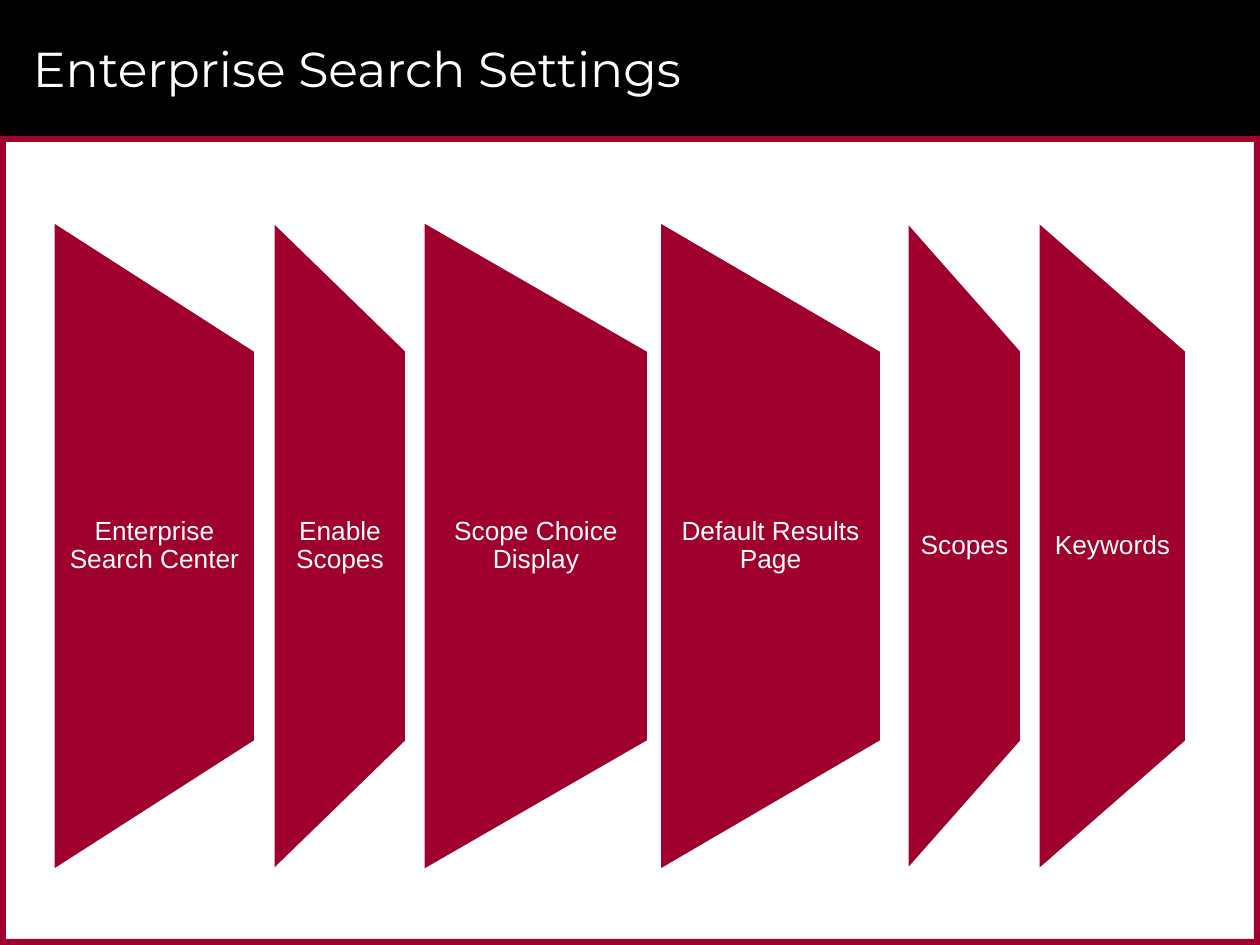
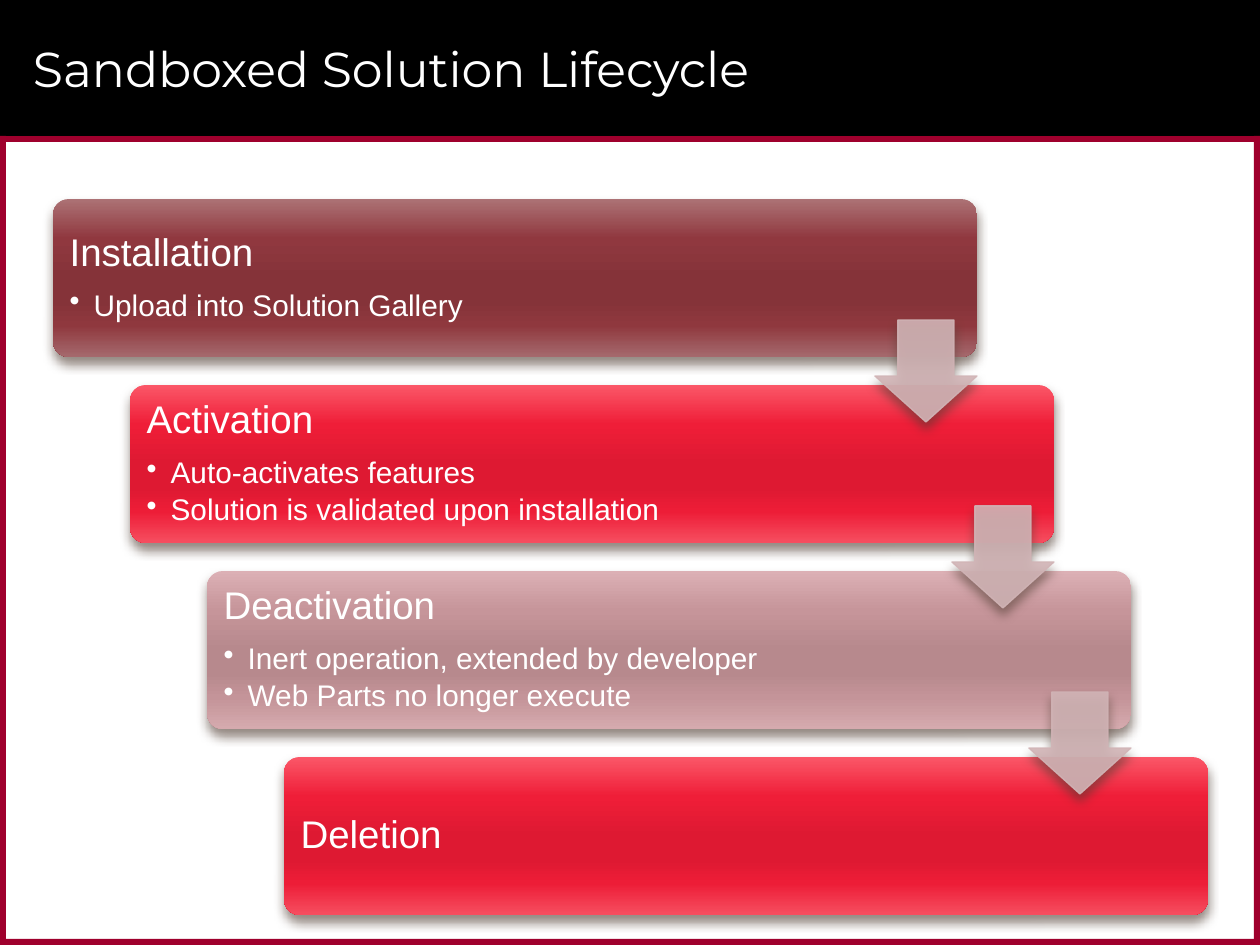
"""Build two framed slides: search settings panels and a solution lifecycle staircase."""
from lxml import etree
from pptx import Presentation
from pptx.dml.color import RGBColor
from pptx.enum.shapes import MSO_SHAPE
from pptx.enum.text import MSO_ANCHOR, PP_ALIGN
from pptx.oxml.ns import qn
from pptx.util import Pt

RECTANGLE = MSO_SHAPE.RECTANGLE
PANEL = MSO_SHAPE.FLOWCHART_MANUAL_OPERATION
CARD = MSO_SHAPE.ROUNDED_RECTANGLE
ARROW = MSO_SHAPE.DOWN_ARROW
MIDDLE = MSO_ANCHOR.MIDDLE
LEFT, CENTER = PP_ALIGN.LEFT, PP_ALIGN.CENTER

BLACK = RGBColor(0x00, 0x00, 0x00)
WHITE = RGBColor(0xFF, 0xFF, 0xFF)
CRIMSON = RGBColor(0x9F, 0x00, 0x2D)
ROSE = RGBColor(0xD1, 0xB4, 0xB6)
SHADOW = RGBColor(0x4E, 0x3B, 0x30)
BROWN_SHADES = ("AC7275", "90383F", "853339", "853339", "8F383E", "A5696D")
RED_SHADES = ("FB5768", "EF1E38", "DE1932", "DE1932", "ED1D37", "F64E60")
PINK_SHADES = ("DCB0B5", "C6959A", "B7898D", "B7898D", "C49499", "D5AAAE")
STOPS = (0, 25, 50, 65, 80, 100)

EMU_PER_PX = 914400 / 126
WIDTH, HEIGHT = 1260, 945
HEADER, BORDER = 136, 6
FRAME = [
    (0, 0, WIDTH, HEADER, BLACK),
    (0, HEADER, WIDTH, BORDER, CRIMSON),
    (0, HEIGHT - BORDER, WIDTH, BORDER, CRIMSON),
    (WIDTH - BORDER, HEADER, BORDER, HEIGHT - HEADER, CRIMSON),
    (0, HEADER, BORDER, HEIGHT - HEADER, CRIMSON),
]
TITLE_BOX = (21, 10, 1187, 116)
TITLE_FONT = {"name": "Montserrat", "size": Pt(28)}
LABEL_FONT = {"name": "Arial", "size": Pt(15)}
HEADING_FONT = {"name": "Arial", "size": Pt(22)}
BULLET_FONT = {"name": "Arial", "size": Pt(17)}

SETTINGS_TITLE = "Enterprise Search Settings"
SETTINGS = [
    ("Enterprise Search Center", 53, 203),
    ("Enable Scopes", 273, 134),
    ("Scope Choice Display", 423, 226),
    ("Default Results Page", 659, 223),
    ("Scopes", 907, 115),
    ("Keywords", 1038, 149),
]
PANEL_MIDDLE, PANEL_HEIGHT, LABEL_HEIGHT = 546, 651, 391

LIFECYCLE_TITLE = "Sandboxed Solution Lifecycle"
STAGES = [
    ("Installation", ["Upload into Solution Gallery"], BROWN_SHADES),
    ("Activation", ["Auto-activates features",
                    "Solution is validated upon installation"], RED_SHADES),
    ("Deactivation", ["Inert operation, extended by developer",
                      "Web Parts no longer execute"], PINK_SHADES),
    ("Deletion", [], RED_SHADES),
]
CARD_LEFT, CARD_TOP, CARD_WIDTH, CARD_HEIGHT = 53, 199, 924, 158
STEP_X, STEP_Y = 77, 186
ARROW_SIZE, ARROW_DROP = 102, 121
INSET, INDENT = 12, 24


def px(length):
    return round(length * EMU_PER_PX)


def assign(target, values):
    for name, value in values.items():
        setattr(target, name, value)


def add_element(parent, tag, **attributes):
    element = etree.SubElement(parent, qn(tag))
    for name, value in attributes.items():
        element.set(name, str(value))
    return element


def add_block(page, kind, box, color=None):
    block = page.shapes.add_shape(kind, *map(px, box))
    block.shadow.inherit = False
    block.line.fill.background()
    if color is not None:
        block.fill.solid()
        block.fill.fore_color.rgb = color
    return block


def set_outline(block, color, width):
    block.line.color.rgb = color
    block.line.width = Pt(width)


def set_shadow(block):
    effects = block.element.spPr.find(qn("a:effectLst"))
    shadow = add_element(effects, "a:outerShdw", blurRad=Pt(6), dist=Pt(4),
                         dir=5400000, rotWithShape=0)
    color = add_element(shadow, "a:srgbClr", val=SHADOW)
    add_element(color, "a:alpha", val=60000)


def set_shades(block, shades):
    block.fill.gradient()
    block.fill.gradient_angle = 270
    stops = block.element.spPr.find(".//" + qn("a:gsLst"))
    for stop in list(stops):
        stops.remove(stop)
    for position, shade in zip(STOPS, shades):
        stop = add_element(stops, "a:gs", pos=position * 1000)
        add_element(stop, "a:srgbClr", val=shade)


def prepare_frame(frame, side, edge):
    assign(frame, {"word_wrap": True, "vertical_anchor": MIDDLE,
                   "margin_left": px(side), "margin_right": px(side),
                   "margin_top": px(edge), "margin_bottom": px(edge)})


def write(para, text, font, **layout):
    assign(para, layout)
    span = para.add_run()
    span.text = text
    assign(span.font, font)
    span.font.color.rgb = WHITE


def add_page(deck, title_text):
    page = deck.slides.add_slide(deck.slide_layouts[5])
    for *box, color in FRAME:
        add_block(page, RECTANGLE, box, color)
    title = page.shapes.title
    title.element.getparent().append(title.element)
    assign(title, dict(zip(("left", "top", "width", "height"), map(px, TITLE_BOX))))
    prepare_frame(title.text_frame, INSET, BORDER)
    write(title.text_frame.paragraphs[0], title_text, TITLE_FONT, alignment=LEFT)
    return page


def add_panel(page, text, left, width):
    center = left + width / 2
    panel = add_block(page, PANEL, (center - PANEL_HEIGHT / 2, PANEL_MIDDLE - width / 2,
                                    PANEL_HEIGHT, width), CRIMSON)
    panel.rotation = 270
    set_outline(panel, WHITE, 2)
    label = page.shapes.add_textbox(px(left), px(PANEL_MIDDLE - LABEL_HEIGHT / 2),
                                    px(width), px(LABEL_HEIGHT))
    prepare_frame(label.text_frame, INSET, 0)
    write(label.text_frame.paragraphs[0], text, LABEL_FONT,
          alignment=CENTER, line_spacing=0.9)


def add_card(page, index, heading, bullets, shades):
    card = add_block(page, CARD, (CARD_LEFT + index * STEP_X, CARD_TOP + index * STEP_Y,
                                  CARD_WIDTH, CARD_HEIGHT))
    card.adjustments[0] = 0.1
    set_shades(card, shades)
    set_shadow(card)
    frame = card.text_frame
    prepare_frame(frame, INSET, INSET)
    write(frame.paragraphs[0], heading, HEADING_FONT, alignment=LEFT,
          line_spacing=0.9, space_after=Pt(9 if bullets else 0))
    for bullet in bullets:
        para = frame.add_paragraph()
        properties = para._p.get_or_add_pPr()
        properties.set("marL", str(px(INDENT)))
        properties.set("indent", str(-px(INDENT)))
        add_element(properties, "a:buChar", char="•")
        write(para, bullet, BULLET_FONT, level=1, alignment=LEFT,
              line_spacing=0.9, space_after=Pt(3))


def add_arrow(page, index):
    right = CARD_LEFT + index * STEP_X + CARD_WIDTH
    top = CARD_TOP + index * STEP_Y + ARROW_DROP
    arrow = add_block(page, ARROW, (right - ARROW_SIZE, top, ARROW_SIZE, ARROW_SIZE), ROSE)
    arrow.adjustments[0] = 0.55
    arrow.adjustments[1] = 0.45
    set_outline(arrow, ROSE, 0.79)
    for color in arrow.element.spPr.iter(qn("a:srgbClr")):
        add_element(color, "a:alpha", val=90000)
    set_shadow(arrow)


def main():
    deck = Presentation()
    assign(deck, {"slide_width": px(WIDTH), "slide_height": px(HEIGHT)})
    page = add_page(deck, SETTINGS_TITLE)
    for setting in SETTINGS:
        add_panel(page, *setting)
    page = add_page(deck, LIFECYCLE_TITLE)
    for index, stage in enumerate(STAGES):
        add_card(page, index, *stage)
    for index in range(len(STAGES) - 1):
        add_arrow(page, index)
    deck.save("out.pptx")


if __name__ == "__main__":
    main()
